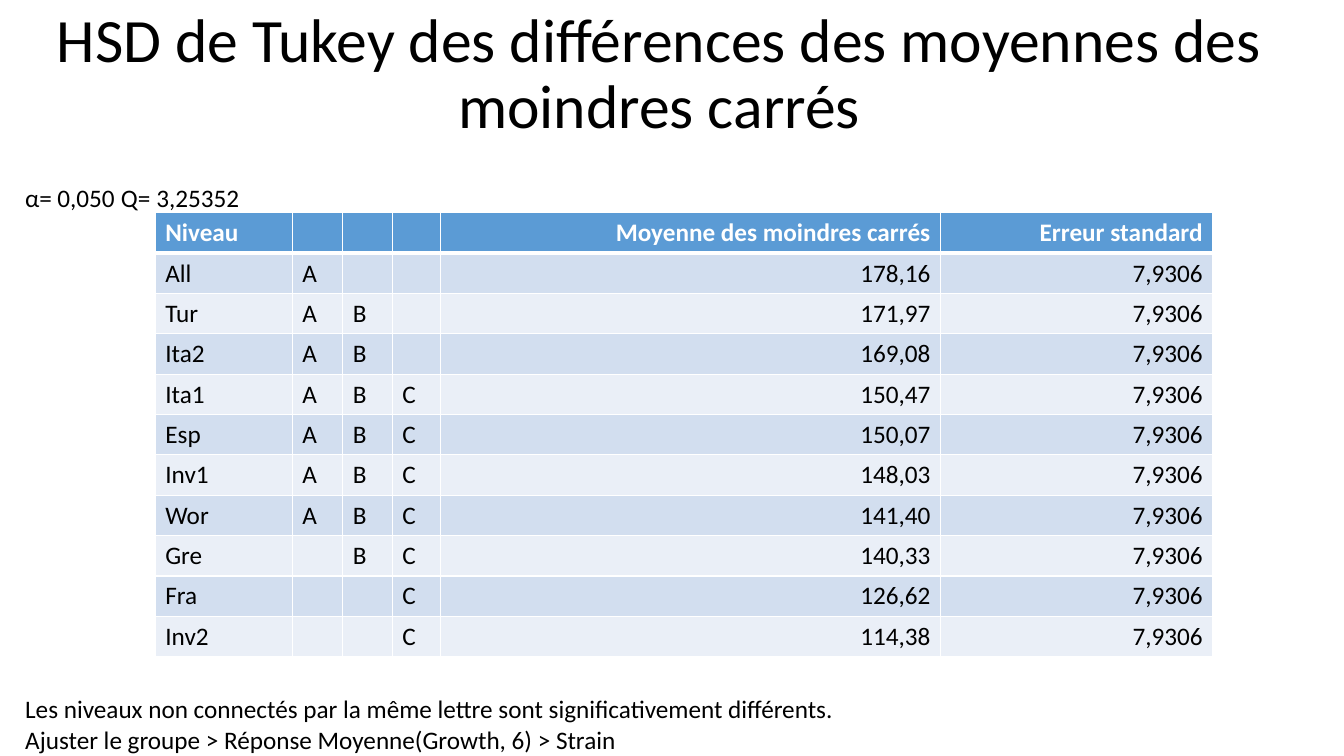
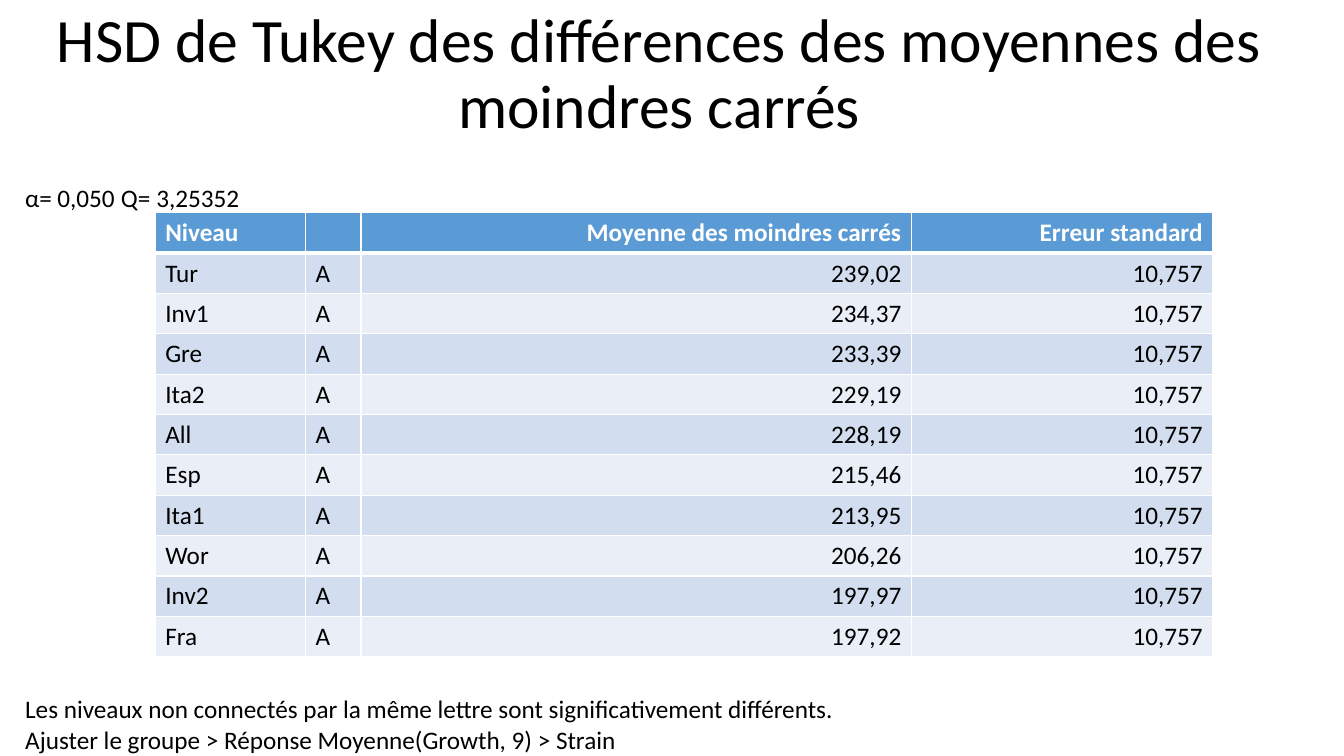
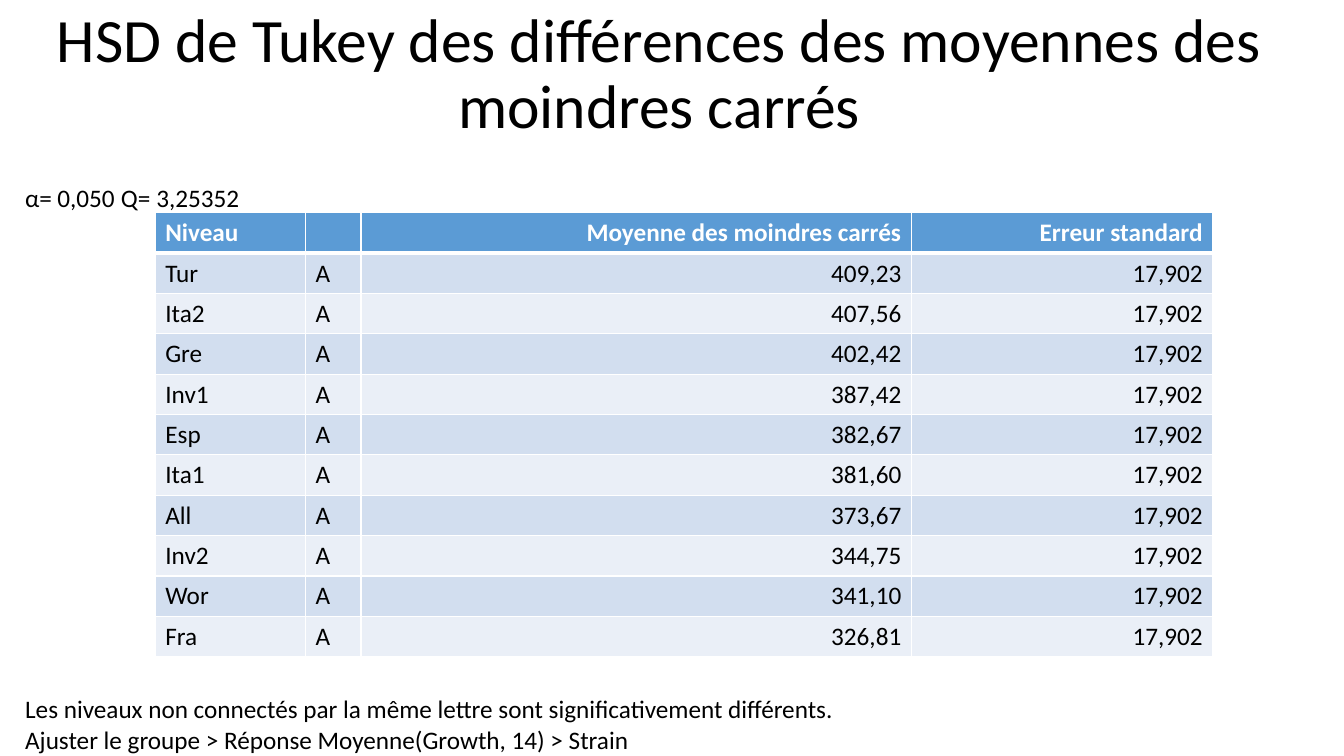
"""Build three slides of Tukey HSD tables, one for each growth measurement."""
from lxml import etree
from pptx import Presentation
from pptx import util as u
from pptx.dml.color import RGBColor
from pptx.enum import text
from pptx.oxml import ns

TITLE = "HSD de Tukey des différences des moyennes des moindres carrés"
PARAMS = [("α=", 0.25, 0.3), ("0,050", 0.57, 0.6), ("Q=", 1.2, 0.32), ("3,25352", 1.55, 0.85)]
NOTE = "Les niveaux non connectés par la même lettre sont significativement différents."
SOURCE = "Ajuster le groupe > Réponse Moyenne(Growth, {}) > Strain"
MEAN, ERROR = "Moyenne des moindres carrés", "Erreur standard"
NARROW = [1.49, 0.55, 5.46, 2.99]
WIDE = [1.36, 0.5, 0.49, 0.48, 4.96, 2.7]

ANALYSES = [
    {"growth": 6, "groups": "ABC", "widths": WIDE, "error": "7,9306", "levels": [
        ("All", "A", "178,16"), ("Tur", "AB", "171,97"), ("Ita2", "AB", "169,08"),
        ("Ita1", "ABC", "150,47"), ("Esp", "ABC", "150,07"), ("Inv1", "ABC", "148,03"),
        ("Wor", "ABC", "141,40"), ("Gre", "BC", "140,33"), ("Fra", "C", "126,62"),
        ("Inv2", "C", "114,38")]},
    {"growth": 9, "groups": "A", "widths": NARROW, "error": "10,757", "levels": [
        ("Tur", "A", "239,02"), ("Inv1", "A", "234,37"), ("Gre", "A", "233,39"),
        ("Ita2", "A", "229,19"), ("All", "A", "228,19"), ("Esp", "A", "215,46"),
        ("Ita1", "A", "213,95"), ("Wor", "A", "206,26"), ("Inv2", "A", "197,97"),
        ("Fra", "A", "197,92")]},
    {"growth": 14, "groups": "A", "widths": NARROW, "error": "17,902", "levels": [
        ("Tur", "A", "409,23"), ("Ita2", "A", "407,56"), ("Gre", "A", "402,42"),
        ("Inv1", "A", "387,42"), ("Esp", "A", "382,67"), ("Ita1", "A", "381,60"),
        ("All", "A", "373,67"), ("Inv2", "A", "344,75"), ("Wor", "A", "341,10"),
        ("Fra", "A", "326,81")]},
]

COLORS = {"text": "000000", "white": "FFFFFF", "header": "5B9BD5",
          "odd": "D2DEEF", "even": "EAEFF7"}
FONT = "Calibri"
LEFT, LINE_H, ROW_H = 0.25, 0.31, 0.4


ALIGN = text.PP_ALIGN


def color(name):
    return RGBColor.from_string(COLORS[name])


def write(tf, content, size=18, fill="text", bold=False, align=ALIGN.LEFT, spacing=None):
    p = tf.paragraphs[0]
    p.alignment, p.line_spacing = align, spacing
    r = p.add_run()
    r.text = content
    f = r.font
    f.name, f.size, f.bold = FONT, u.Pt(size), bold
    f.color.rgb = color(fill)


def add_title(s):
    sp = s.shapes.title
    sp.left, sp.top, sp.width, sp.height = map(u.Inches, (0, 0, 13.08, 1.5))
    tf = sp.text_frame
    tf.auto_size = text.MSO_AUTO_SIZE.NONE
    tf.vertical_anchor = text.MSO_ANCHOR.MIDDLE
    write(tf, TITLE, size=44, align=ALIGN.CENTER, spacing=0.9)


def add_line(s, content, left, top, width):
    sp = s.shapes.add_textbox(*map(u.Inches, (left, top, width, LINE_H)))
    tf = sp.text_frame
    tf.margin_left = tf.margin_top = tf.margin_right = tf.margin_bottom = 0
    tf.word_wrap = False
    tf.auto_size = text.MSO_AUTO_SIZE.SHAPE_TO_FIT_TEXT
    write(tf, content)


def add_borders(cell, **widths):
    tc_pr = cell._tc.get_or_add_tcPr()
    for side in "LRTB":
        ln = etree.SubElement(tc_pr, ns.qn(f"a:ln{side}"), w=str(u.Pt(widths.get(side, 1))))
        solid = etree.SubElement(ln, ns.qn("a:solidFill"))
        etree.SubElement(solid, ns.qn("a:srgbClr"), val=COLORS["white"])


def add_levels_table(s, analysis):
    groups, widths = analysis["groups"], analysis["widths"]
    rows = [["Niveau", *[""] * len(groups), MEAN, ERROR]]
    for level, letters, mean in analysis["levels"]:
        marks = [g if g in letters else "" for g in groups]
        rows.append([level, *marks, mean, analysis["error"]])
    frame = s.shapes.add_table(len(rows), len(widths), *map(
        u.Inches, (1.54, 2.11, sum(widths), ROW_H * len(rows))))
    table = frame.table
    for column, width in zip(table.columns, widths):
        column.width = u.Inches(width)
    for i, row in enumerate(rows):
        table.rows[i].height = u.Inches(ROW_H)
        header = i == 0
        band = "header" if header else "odd" if i % 2 else "even"
        for j, content in enumerate(row):
            cell = table.cell(i, j)
            add_borders(cell, T=3 if i == 1 else 1, B=3 if header else 1)
            cell.fill.solid()
            cell.fill.fore_color.rgb = color(band)
            if content:
                write(cell.text_frame, content, fill="white" if header else "text", bold=header,
                      align=ALIGN.RIGHT if j > len(groups) else ALIGN.LEFT)


def main():
    prs = Presentation()
    prs.slide_width, prs.slide_height = u.Inches(13.33), u.Inches(7.5)
    for analysis in ANALYSES:
        s = prs.slides.add_slide(prs.slide_layouts[5])
        add_title(s)
        for content, left, width in PARAMS:
            add_line(s, content, left, 1.81, width)
        add_levels_table(s, analysis)
        add_line(s, NOTE, LEFT, 6.88, 8.1)
        source_w = 6.04 if analysis["growth"] > 9 else 5.92
        add_line(s, SOURCE.format(analysis["growth"]), LEFT, 6.88 + LINE_H, source_w)
    prs.save("out.pptx")


if __name__ == "__main__":
    main()
